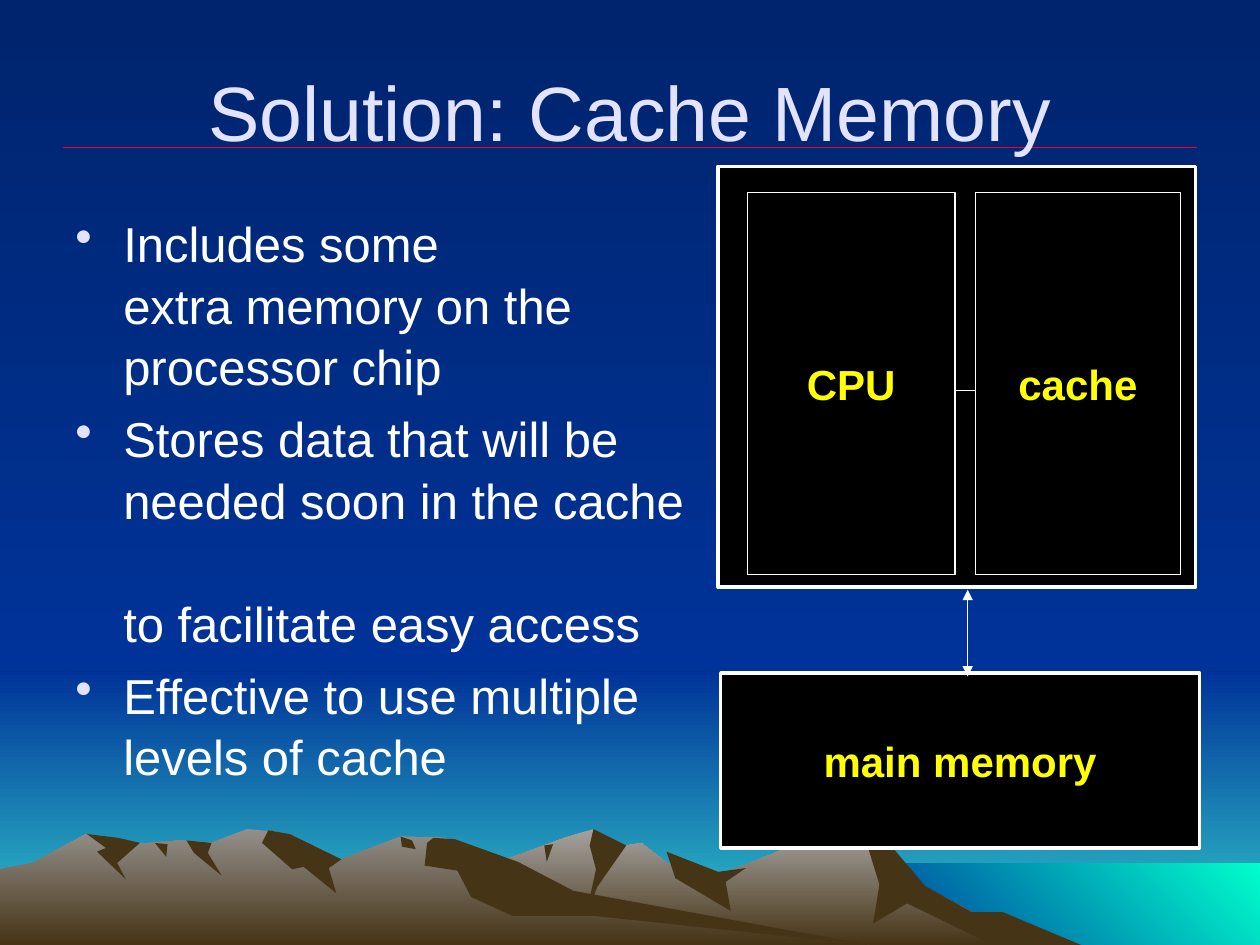
from copy import deepcopy
from dataclasses import dataclass

from lxml import etree
from pptx import Presentation
from pptx.dml.color import RGBColor
from pptx.enum.shapes import MSO_CONNECTOR, MSO_SHAPE
from pptx.enum.text import MSO_ANCHOR, PP_ALIGN
from pptx.oxml.ns import qn
from pptx.util import Inches, Pt

STRAIGHT = MSO_CONNECTOR.STRAIGHT
RECTANGLE = MSO_SHAPE.RECTANGLE
MIDDLE, TOP = MSO_ANCHOR.MIDDLE, MSO_ANCHOR.TOP
CENTER, LEFT = PP_ALIGN.CENTER, PP_ALIGN.LEFT
DOWNWARD, UP_RIGHT = 270, 45


@dataclass(frozen=True)
class Theme:
    font: str = "Arial"
    title_size: int = 44
    body_size: int = 28
    label_size: int = 24
    title: str = "E3E3FF"
    text: str = "FFFFFF"
    label: str = "FFFF00"
    block: str = "000000"
    rule: str = "EF0129"
    night: str = "00246D"
    blue: str = "003399"
    horizon: str = "33CCCC"
    water: str = "00FFCC"
    rock: str = "463416"
    far_rock: str = "A5A29F"
    near_rock: str = "938F8B"
    thin: float = 0.75
    thick: float = 2


THEME = Theme()


@dataclass(frozen=True)
class Band:
    left: float
    top: float
    width: float
    height: float
    colors: tuple[str, str]
    angle: int


@dataclass(frozen=True)
class Ridge:
    """Outline in hundredths of an inch; a highlight makes the fill a gradient."""
    points: list[tuple[int, int]]
    highlight: str | None = None


@dataclass(frozen=True)
class Block:
    left: float
    top: float
    width: float
    height: float
    line_width: float
    label: str = ""


SKYLINE = 5.33
BANDS = [
    Band(0, SKYLINE, 10, 7.5 - SKYLINE, (THEME.blue, THEME.horizon), DOWNWARD),
    Band(0, 0, 10, SKYLINE, (THEME.night, THEME.blue), DOWNWARD),
    Band(6.83, 6.85, 3.17, 0.65, (THEME.blue, THEME.water), UP_RIGHT),
]

RIDGES = [
    Ridge([(258, 750), (394, 685), (448, 665), (471, 658), (486, 673), (509, 669),
           (536, 690), (566, 697), (629, 671), (685, 660), (723, 698), (820, 750)],
          THEME.far_rock),
    Ridge([(685, 660), (707, 671), (734, 703), (771, 724), (796, 724), (858, 750),
           (788, 750), (720, 717), (693, 733), (698, 702)]),
    Ridge([(471, 658), (497, 671), (474, 704), (465, 727), (473, 690), (468, 671)]),
    Ridge([(529, 676), (570, 692), (592, 689), (576, 700), (580, 723), (536, 697)]),
    Ridge([(432, 671), (439, 670), (434, 684)]),
    Ridge([(0, 750), (0, 690), (26, 685), (68, 662), (94, 671), (143, 667), (168, 669),
           (196, 658), (219, 660), (236, 681), (271, 682), (318, 664), (354, 665),
           (432, 712), (690, 750)], THEME.near_rock),
    Ridge([(213, 659), (230, 662), (271, 682), (261, 689), (267, 709), (241, 688),
           (232, 690), (208, 669)]),
    Ridge([(339, 669), (344, 665), (361, 666), (411, 684), (455, 707), (690, 750),
           (472, 727), (407, 727), (374, 712), (363, 691), (337, 687)]),
    Ridge([(318, 664), (327, 667), (330, 674), (319, 672)]),
    Ridge([(148, 667), (168, 669), (165, 677), (176, 695), (154, 677)]),
    Ridge([(123, 669), (133, 670), (132, 680)]),
    Ridge([(69, 662), (94, 665), (111, 669), (93, 685), (100, 698), (77, 676), (84, 673)]),
]

CORE_TOP, CORE_HEIGHT = 1.53, 3.03
BLOCKS = [
    Block(5.7, 1.32, 3.79, 3.34, THEME.thick),
    Block(5.93, CORE_TOP, 1.65, CORE_HEIGHT, THEME.thin, "CPU"),
    Block(7.74, CORE_TOP, 1.63, CORE_HEIGHT, THEME.thin, "cache"),
    Block(5.72, 5.34, 3.8, 1.39, THEME.thick, "main memory"),
]

BULLETS = [
    "Includes some\vextra memory on the processor chip",
    "Stores data that will be needed soon in the cache \vto facilitate easy access",
    "Effective to use multiple levels of cache",
]


def rgb(value: str) -> RGBColor:
    return RGBColor.from_string(value)


def fill_gradient(fill, colors: tuple[str, str], angle: int) -> None:
    fill.gradient()
    fill.gradient_angle = angle
    for stop, color in zip(fill.gradient_stops, colors):
        stop.color.rgb = rgb(color)


def fill_solid(fill, color: str) -> None:
    fill.solid()
    fill.fore_color.rgb = rgb(color)


def add_rectangle(slide, area: Band | Block):
    shape = slide.shapes.add_shape(RECTANGLE, Inches(area.left), Inches(area.top),
                                   Inches(area.width), Inches(area.height))
    shape.shadow.inherit = False
    return shape


def add_band(slide, band: Band) -> None:
    shape = add_rectangle(slide, band)
    shape.line.fill.background()
    fill_gradient(shape.fill, band.colors, band.angle)


def add_ridge(slide, ridge: Ridge) -> None:
    builder = slide.shapes.build_freeform(*ridge.points[0], scale=Inches(0.01))
    builder.add_line_segments(ridge.points[1:], close=True)
    shape = builder.convert_to_shape()
    shape.shadow.inherit = False
    shape.line.fill.background()
    if ridge.highlight:
        fill_gradient(shape.fill, (ridge.highlight, THEME.rock), DOWNWARD)
    else:
        fill_solid(shape.fill, THEME.rock)


def add_bullet(paragraph) -> None:
    properties = paragraph._p.get_or_add_pPr()
    properties.set("marL", str(Inches(0.38)))
    properties.set("indent", str(Inches(-0.38)))
    color = etree.SubElement(properties, qn("a:buClr"))
    etree.SubElement(color, qn("a:srgbClr"), val=THEME.title)
    etree.SubElement(properties, qn("a:buChar"), char="•")


def write_text(shape, paragraphs: list[str], *, size: float, color: str, bold: bool = False,
               align=CENTER, anchor=MIDDLE, wrap: bool = True, bullets: bool = False) -> None:
    frame = shape.text_frame
    frame.word_wrap = wrap
    frame.vertical_anchor = anchor
    for index, text in enumerate(paragraphs):
        paragraph = frame.add_paragraph() if index else frame.paragraphs[0]
        paragraph.text = text
        paragraph.alignment = align
        if bullets:
            add_bullet(paragraph)
            paragraph.line_spacing = 1.05
            paragraph.space_before = Pt(0.2 * size if index else 0)
        for run in paragraph.runs:
            run.font.name, run.font.size, run.font.bold = THEME.font, Pt(size), bold
            run.font.color.rgb = rgb(color)
        for line_break in paragraph._p.findall(qn("a:br")):
            line_break.append(deepcopy(paragraph.runs[0]._r.rPr))


def add_block(slide, block: Block) -> None:
    shape = add_rectangle(slide, block)
    fill_solid(shape.fill, THEME.block)
    shape.line.color.rgb = rgb(THEME.text)
    shape.line.width = Pt(block.line_width)
    if block.label:
        write_text(shape, [block.label], size=THEME.label_size, color=THEME.label,
                   bold=True, wrap=False)


def add_line(slide, start: tuple[float, float], end: tuple[float, float], color: str,
             arrows: bool = False) -> None:
    connector = slide.shapes.add_connector(STRAIGHT, *map(Inches, start + end))
    connector.line.color.rgb = rgb(color)
    connector.line.width = Pt(THEME.thin)
    if arrows:
        for tag in ("a:headEnd", "a:tailEnd"):
            etree.SubElement(connector.line._get_or_add_ln(), qn(tag), type="triangle")
    etree.SubElement(connector._element.spPr, qn("a:effectLst"))


def main() -> None:
    presentation = Presentation()
    presentation.slide_width, presentation.slide_height = Inches(10), Inches(7.5)
    slide = presentation.slides.add_slide(presentation.slide_layouts[6])
    fill_gradient(slide.background.fill, (THEME.night, THEME.blue), DOWNWARD)
    for band in BANDS:
        add_band(slide, band)
    for ridge in RIDGES:
        add_ridge(slide, ridge)
    add_line(slide, (0.5, 1.17), (9.5, 1.17), THEME.rule)

    title = slide.shapes.add_textbox(Inches(0.75), Inches(0.25), Inches(8.5), Inches(1.25))
    write_text(title, ["Solution: Cache Memory"], size=THEME.title_size, color=THEME.title)
    body = slide.shapes.add_textbox(Inches(0.5), Inches(1.62), Inches(5.11), Inches(4.95))
    write_text(body, BULLETS, size=THEME.body_size, color=THEME.text, align=LEFT, anchor=TOP,
               bullets=True)

    for block in BLOCKS:
        add_block(slide, block)
    add_line(slide, (7.59, 3.1), (7.74, 3.1), THEME.text)
    add_line(slide, (7.68, 4.68), (7.68, 5.37), THEME.text, arrows=True)
    presentation.save("out.pptx")


if __name__ == "__main__":
    main()
